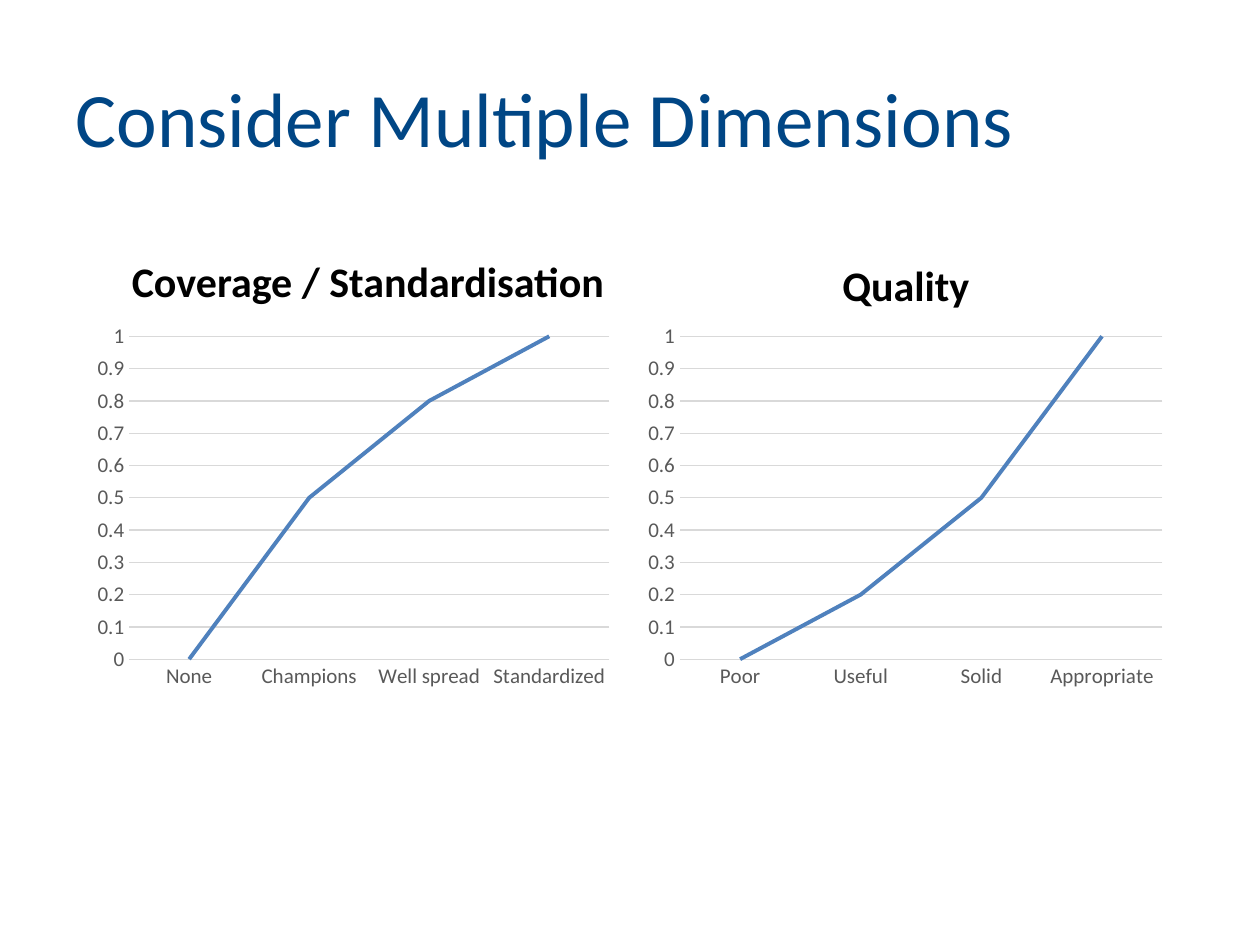
from pptx import Presentation
from pptx import util as u
from pptx.chart.data import CategoryChartData
from pptx.dml.color import RGBColor
from pptx.enum import chart as charts, text

FONT = "Calibri"
COLORS = {
    "title": "004685",
    "heading": "000000",
    "label": "595959",
    "grid": "D9D9D9",
    "line": "4F81BD",
}
COMPARISON_LAYOUT = 4
HEADING_SIZE = (4.42, 0.7)
CHART_TOP, CHART_HEIGHT = 2.51, 3.02

# heading, heading position, chart left and width, points of the curve
DIMENSIONS = [
    ("Coverage / Standardisation", (0.71, 1.78), (0.69, 4.23),
     {"None": 0, "Champions": 0.5, "Well spread": 0.8, "Standardized": 1}),
    ("Quality", (4.98, 1.81), (5.06, 4.25),
     {"Poor": 0, "Useful": 0.2, "Solid": 0.5, "Appropriate": 1}),
]


def color(name):
    return RGBColor.from_string(COLORS[name])


def style_font(font, size, color_name, bold=False):
    font.name = FONT
    font.size = u.Pt(size)
    font.bold = bold
    font.color.rgb = color(color_name)


def style_line(line, color_name, width):
    line.color.rgb = color(color_name)
    line.width = u.Pt(width)


def fill_placeholder(shape, box, words, size, color_name, alignment, anchor, bold=False):
    shape.left, shape.top, shape.width, shape.height = map(u.Inches, box)
    frame = shape.text_frame
    frame.auto_size = text.MSO_AUTO_SIZE.NONE
    frame.vertical_anchor = anchor
    paragraph = frame.paragraphs[0]
    paragraph.alignment = alignment
    run = paragraph.add_run()
    run.text = words
    style_font(run.font, size, color_name, bold)


def style_axes(chart):
    for axis in (chart.category_axis, chart.value_axis):
        axis.major_tick_mark = axis.minor_tick_mark = charts.XL_TICK_MARK.NONE
        style_font(axis.tick_labels.font, 12, "label")
    style_line(chart.category_axis.format.line, "grid", 0.75)
    value_axis = chart.value_axis
    value_axis.minimum_scale, value_axis.maximum_scale = 0, 1
    value_axis.major_unit = 0.1
    value_axis.format.line.fill.background()
    value_axis.has_major_gridlines = True
    style_line(value_axis.major_gridlines.format.line, "grid", 0.75)


def add_curve(slide, left, width, points):
    data = CategoryChartData()
    data.categories = list(points)
    data.add_series("Series 1", list(points.values()))
    box = map(u.Inches, (left, CHART_TOP, width, CHART_HEIGHT))
    chart = slide.shapes.add_chart(charts.XL_CHART_TYPE.LINE, *box, data).chart
    chart.has_title = chart.has_legend = False
    style_font(chart.font, 10, "heading")
    chart.plots[0].vary_by_categories = False
    series = chart.plots[0].series[0]
    series.smooth = False
    series.marker.style = charts.XL_MARKER_STYLE.NONE
    style_line(series.format.line, "line", 2.25)
    style_axes(chart)


def main():
    presentation = Presentation()
    presentation.slide_width, presentation.slide_height = u.Inches(10), u.Inches(7.5)
    slide = presentation.slides.add_slide(presentation.slide_layouts[COMPARISON_LAYOUT])
    title, left_heading, left_content, right_heading, right_content = slide.placeholders
    for content in (left_content, right_content):
        content.element.getparent().remove(content.element)

    fill_placeholder(title, (0.5, 0.3, 9, 1.25), "Consider Multiple Dimensions", 44,
                     "title", text.PP_ALIGN.LEFT, text.MSO_ANCHOR.MIDDLE)
    for heading, (words, position, (left, width), points) in zip(
            (left_heading, right_heading), DIMENSIONS):
        fill_placeholder(heading, position + HEADING_SIZE, words, 24, "heading",
                         text.PP_ALIGN.CENTER, text.MSO_ANCHOR.BOTTOM, bold=True)
        add_curve(slide, left, width, points)
    presentation.save("out.pptx")


if __name__ == "__main__":
    main()
